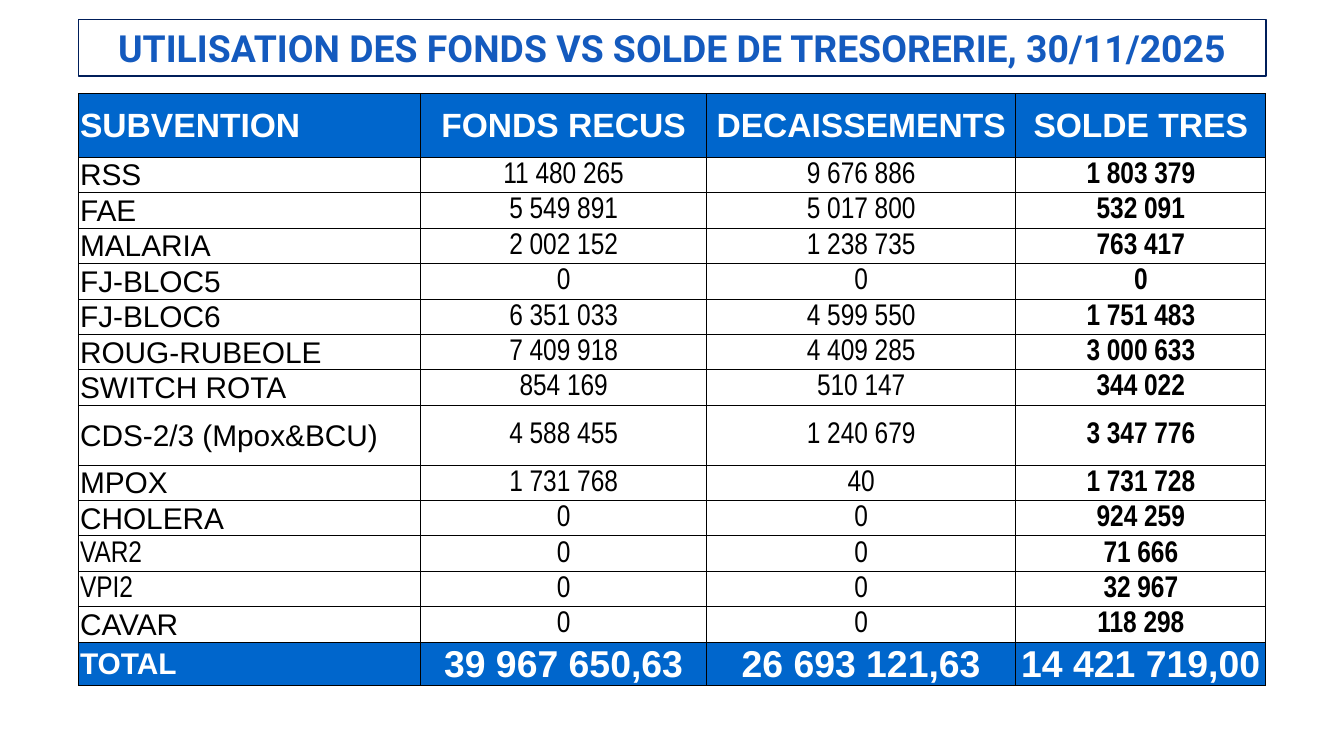
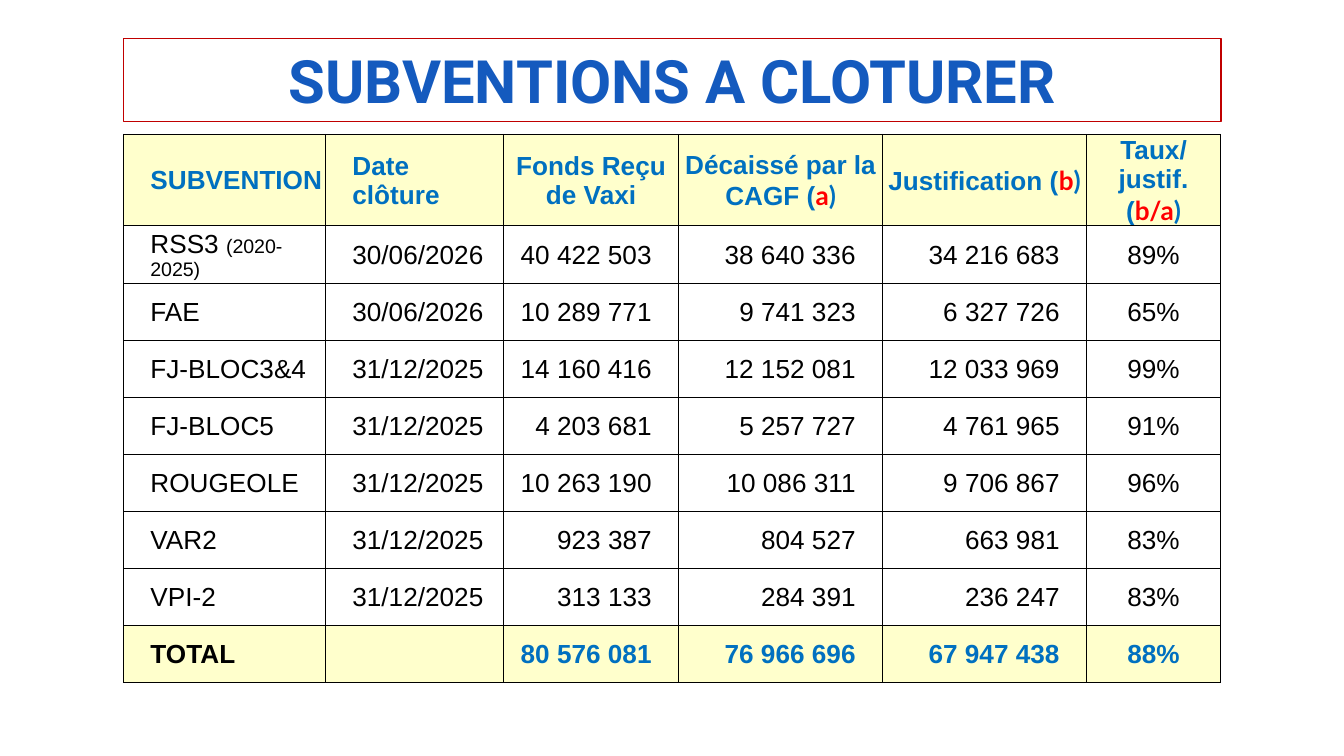
"""Build two slides of grant tables: cash balances and grants to close."""
import pptx
import pptx.dml.color
import pptx.enum.text
import pptx.oxml
import pptx.oxml.ns
import pptx.util

Pt = pptx.util.Pt
ALIGN = pptx.enum.text.PP_ALIGN
MIDDLE = pptx.enum.text.MSO_ANCHOR.MIDDLE

BLACK, WHITE, RED = "000000", "FFFFFF", "FF0000"
NAVY, BRICK, TITLE = "001E5A", "C00000", "145ABE"
BLUE, CREAM, AZURE = "0066CC", "FFFFCC", "0070C0"
THIN, WIDE = 0.72, 14.4

FUNDS = [
    ["SUBVENTION", "FONDS RECUS", "DECAISSEMENTS", "SOLDE TRES"],
    ["RSS", "11 480 265", "9 676 886", "1 803 379"],
    ["FAE", "5 549 891", "5 017 800", "532 091"],
    ["MALARIA", "2 002 152", "1 238 735", "763 417"],
    ["FJ-BLOC5", "0", "0", "0"],
    ["FJ-BLOC6", "6 351 033", "4 599 550", "1 751 483"],
    ["ROUG-RUBEOLE", "7 409 918", "4 409 285", "3 000 633"],
    ["SWITCH ROTA", "854 169", "510 147", "344 022"],
    ["CDS-2/3 (Mpox&BCU)", "4 588 455", "1 240 679", "3 347 776"],
    ["MPOX", "1 731 768", "40", "1 731 728"],
    ["CHOLERA", "0", "0", "924 259"],
    ["VAR2", "0", "0", "71 666"],
    ["VPI2", "0", "0", "32 967"],
    ["CAVAR", "0", "0", "118 298"],
    ["TOTAL", "39 967 650,63", "26 693 121,63", "14 421 719,00"],
]

CLOSE = [
    ["SUBVENTION", "Date clôture", "Fonds Reçu de Vaxi", "Décaissé par la CAGF (|a|)",
     "Justification (|b|)", "Taux/justif. (|b/a|)"],
    ["RSS3 |(2020-2025)", "30/06/2026", "40 422 503", "38 640 336", "34 216 683", "89%"],
    ["FAE", "30/06/2026", "10 289 771", "9 741 323", "6 327 726", "65%"],
    ["FJ-BLOC3&4", "31/12/2025", "14 160 416", "12 152 081", "12 033 969", "99%"],
    ["FJ-BLOC5", "31/12/2025", "4 203 681", "5 257 727", "4 761 965", "91%"],
    ["ROUGEOLE", "31/12/2025", "10 263 190", "10 086 311", "9 706 867", "96%"],
    ["VAR2", "31/12/2025", "923 387", "804 527", "663 981", "83%"],
    ["VPI-2", "31/12/2025", "313 133", "284 391", "236 247", "83%"],
    ["TOTAL", "", "80 576 081", "76 966 696", "67 947 438", "88%"],
]


def paint(color, code):
    """Set a colour format from a hex string."""
    color.rgb = pptx.dml.color.RGBColor.from_string(code)


def style(run, size, code=BLACK, bold=False, face="Arial"):
    """Format one run."""
    font = run.font
    font.size, font.bold, font.name = Pt(size), bold, face
    paint(font.color, code)


def head(slide, text, box, size, edge):
    """Place the framed title."""
    shape = slide.shapes.title
    shape.left, shape.top, shape.width, shape.height = map(Pt, box)
    shape.line.width = Pt(0.75)
    paint(shape.line.color, edge)
    frame = shape.text_frame
    frame.text = text
    frame.word_wrap = True
    frame.auto_size = pptx.enum.text.MSO_AUTO_SIZE.NONE
    frame.vertical_anchor = MIDDLE
    frame.margin_left = frame.margin_right = Pt(7.2)
    frame.margin_top = frame.margin_bottom = Pt(7.2)
    para = frame.paragraphs[0]
    para.alignment = ALIGN.CENTER
    style(para.runs[0], size, TITLE, True, "Roboto")


def border(cell):
    """Draw a thin black line on all four sides of a cell."""
    for side in "LRTB":
        cell._tc.get_or_add_tcPr().append(pptx.oxml.parse_xml(
            f'<a:ln{side} {pptx.oxml.ns.nsdecls("a")} w="{Pt(0.5)}"><a:solidFill>'
            f'<a:srgbClr val="{BLACK}"/></a:solidFill></a:ln{side}>'))


def fill(cell, text, looks, align, tint=None, left=THIN, right=THIN):
    """Set the text, look and frame of one cell."""
    cell.vertical_anchor = MIDDLE
    cell.margin_left, cell.margin_right = Pt(left), Pt(right)
    cell.margin_top, cell.margin_bottom = Pt(THIN), Pt(0)
    border(cell)
    if tint:
        cell.fill.solid()
        paint(cell.fill.fore_color, tint)
    else:
        cell.fill.background()
    para = cell.text_frame.paragraphs[0]
    para.alignment = align
    parts = text.split("|")
    para.text = parts[0]
    for part in parts[1:]:
        para.add_run().text = part
    for run, look in zip(para.runs, looks):
        style(run, *look)


def grid(slide, spot, cols, rows):
    """Add a plain table with the given column widths and row heights."""
    size = sum(cols), sum(rows)
    table = slide.shapes.add_table(len(rows), len(cols), *map(Pt, spot + size)).table
    table.first_row = table.horz_banding = False
    for col, width in zip(table.columns, cols):
        col.width = Pt(width)
    for row, height in zip(table.rows, rows):
        row.height = Pt(height)
    return table


def funds(slide):
    """Fill the slide on use of funds and cash balance."""
    head(slide, "UTILISATION DES FONDS VS SOLDE DE TRESORERIE, 30/11/2025",
         (42.2, 10.6, 636, 30.2), 20, NAVY)
    rows = [34] + [19] * 7 + [32] + [19] * 6
    table = grid(slide, (42.2, 50.2), (183.2, 153.2, 165.6, 134), rows)
    last = len(FUNDS) - 1
    for r, row in enumerate(FUNDS):
        for c, text in enumerate(row):
            if r == 0:
                look = (18, WHITE, True)
            elif r == last:
                look = (20 if c else 16, WHITE, True)
            else:
                slim = c > 0 or text in ("VAR2", "VPI2")
                look = (16, BLACK, c == 3, "Arial Narrow" if slim else "Arial")
            fill(table.cell(r, c), text, [look], ALIGN.CENTER if c else ALIGN.LEFT,
                 BLUE if r in (0, last) else None)


def close(slide):
    """Fill the slide on grants to close."""
    head(slide, "SUBVENTIONS A CLOTURER", (66.2, 20.6, 588, 44.6), 32, BRICK)
    cols = (108.2, 95.4, 93.8, 109.3, 109.3, 71.8)
    table = grid(slide, (66.2, 72), cols, [34] + [30.6] * 8)
    last = len(CLOSE) - 1
    for r, row in enumerate(CLOSE):
        for c, text in enumerate(row):
            align = ALIGN.LEFT if c < 2 else ALIGN.CENTER
            if r and 2 <= c <= 4:
                align = ALIGN.RIGHT
            if r == 0:
                looks = [(14, AZURE, True), (14, RED, True, "Lato"),
                         (14, AZURE, True, "Lato")]
            elif r == last:
                looks = [(14, AZURE if c else BLACK, True)]
            else:
                looks = [(14,), (10.5,)]
            fill(table.cell(r, c), text, looks, align,
                 CREAM if r in (0, last) else None,
                 WIDE if c < 2 else THIN, WIDE if align == ALIGN.RIGHT else THIN)


def main():
    """Build and save the deck."""
    deck = pptx.Presentation()
    deck.slide_width, deck.slide_height = Pt(720), Pt(405)
    for build in (funds, close):
        build(deck.slides.add_slide(deck.slide_layouts[5]))
    deck.save("out.pptx")


if __name__ == "__main__":
    main()
